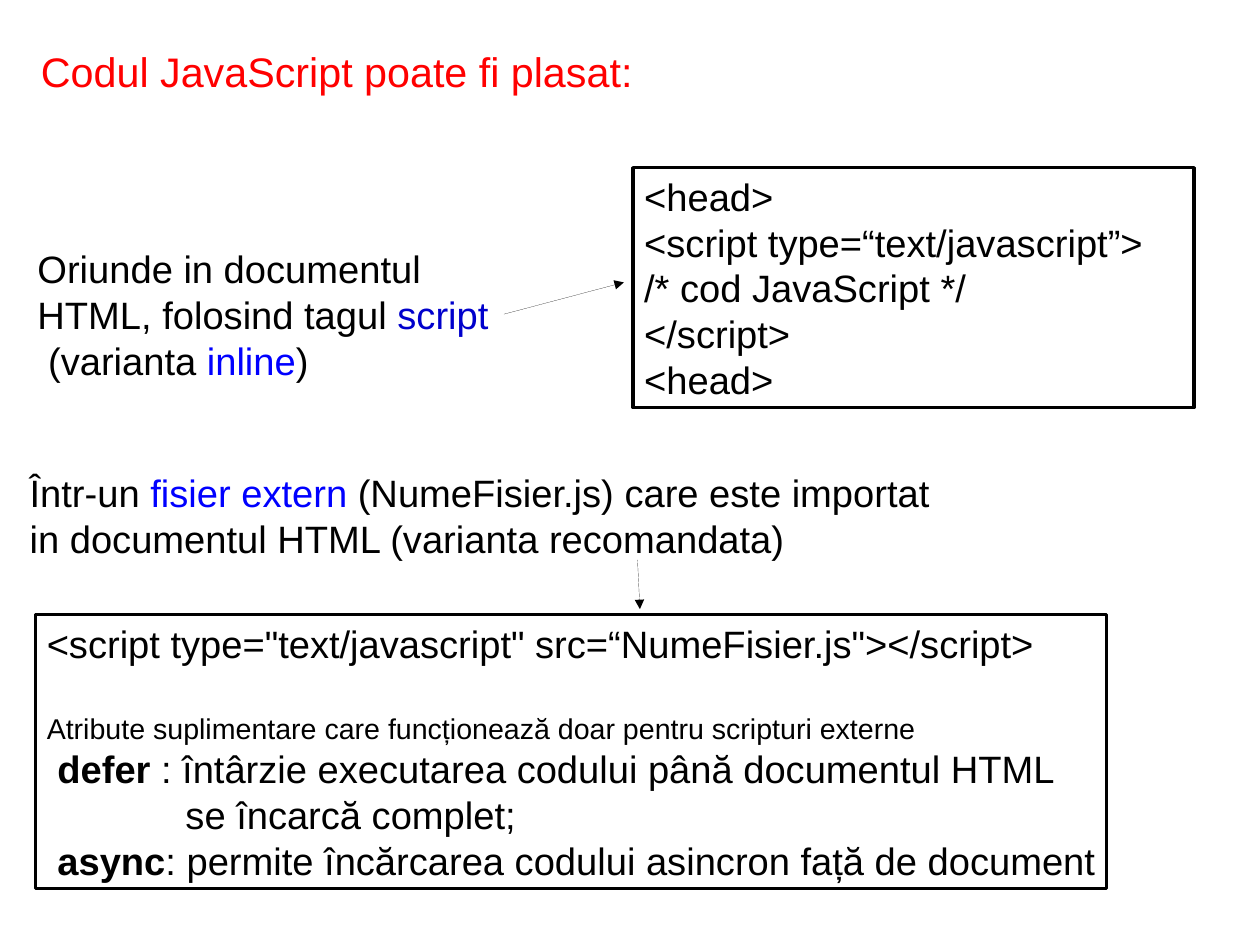
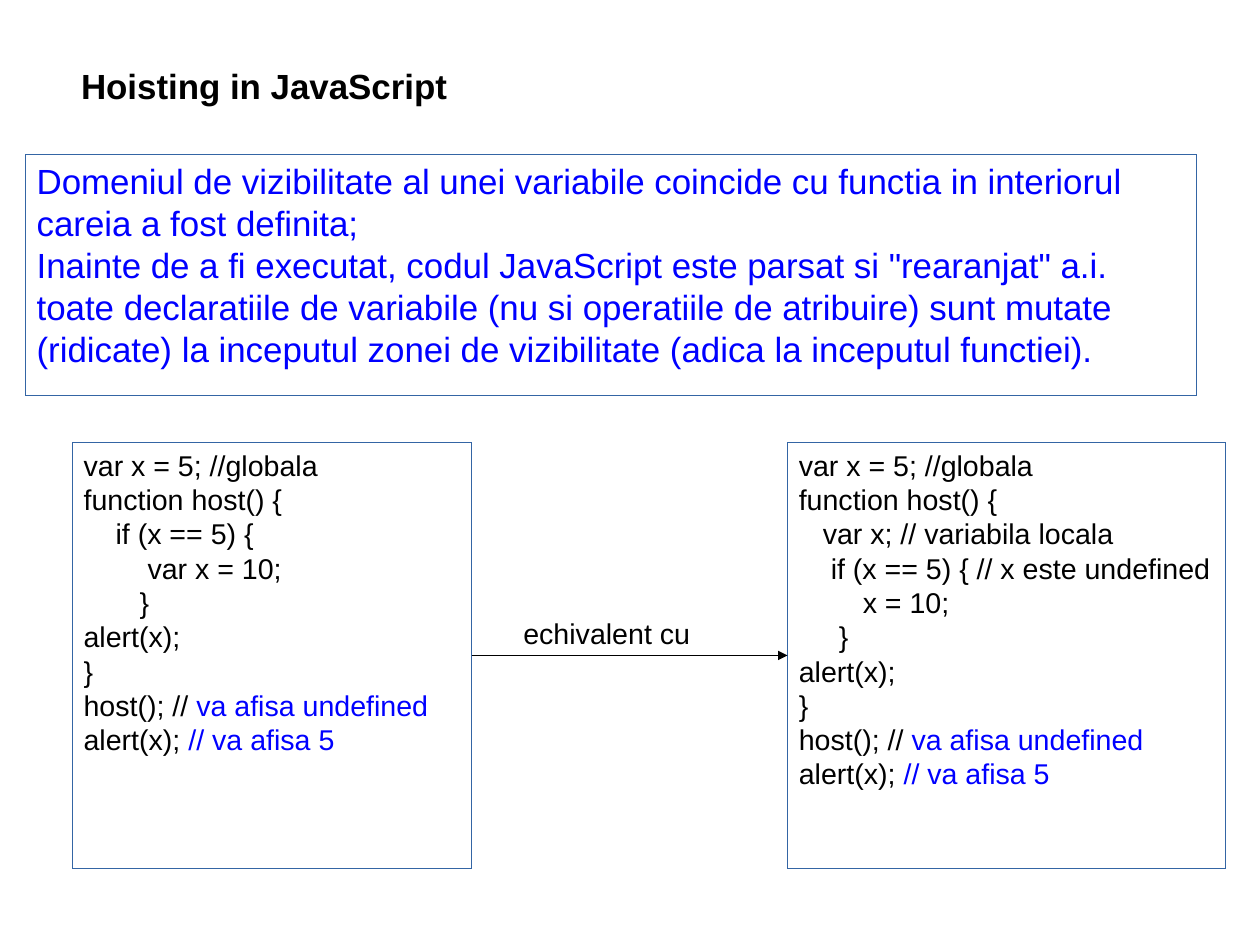
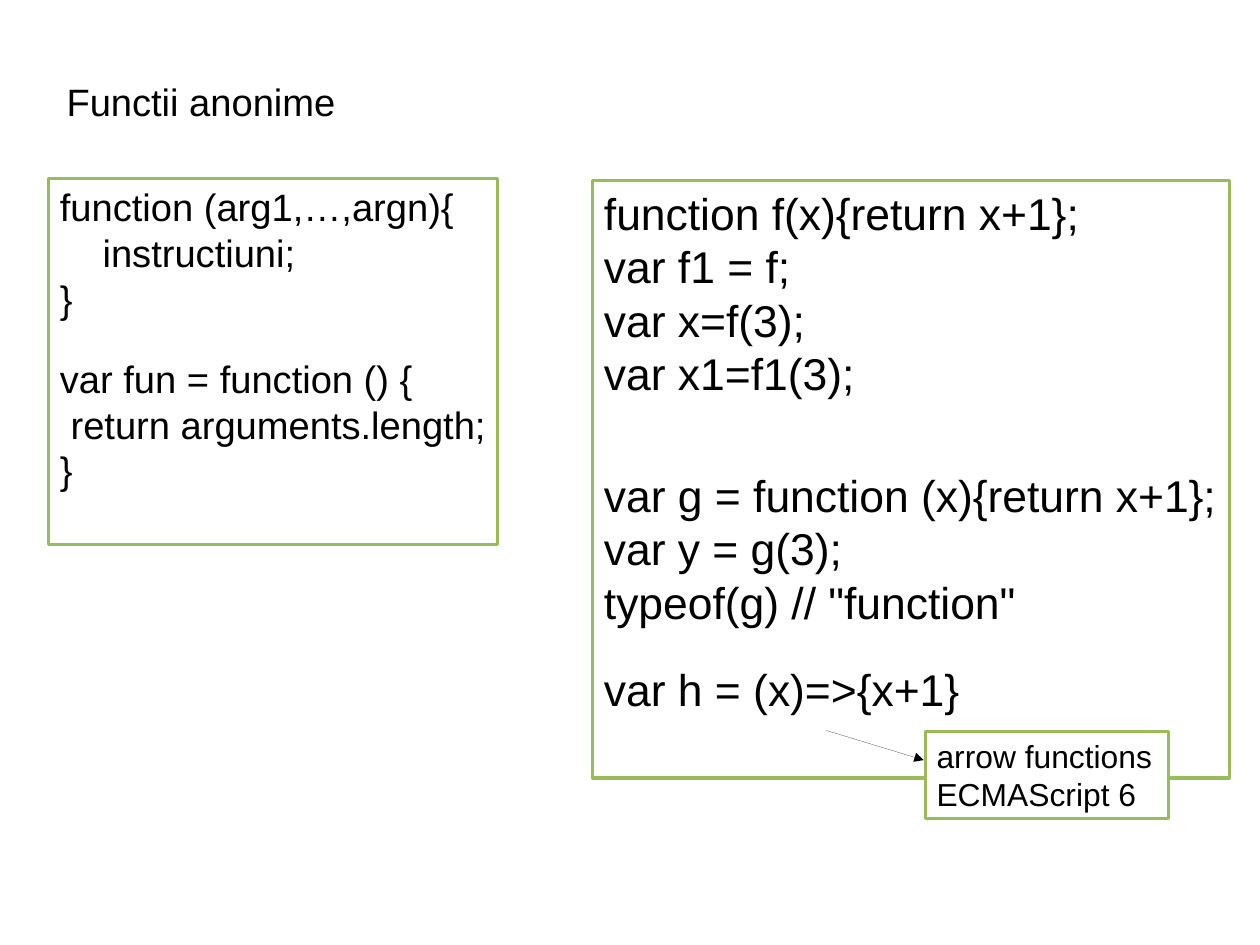
from dataclasses import dataclass

from lxml import etree
from pptx import Presentation
from pptx.dml.color import RGBColor
from pptx.enum.shapes import MSO_CONNECTOR, MSO_SHAPE
from pptx.enum.text import MSO_ANCHOR, PP_ALIGN
from pptx.oxml.ns import qn
from pptx.util import Pt

RECTANGLE = MSO_SHAPE.RECTANGLE
STRAIGHT = MSO_CONNECTOR.STRAIGHT
LEFT = PP_ALIGN.LEFT
TOP = MSO_ANCHOR.TOP

FONT = "Arial"
BLACK, WHITE, RED = "000000", "FFFFFF", "FF0000"
BLUE, DARK_BLUE = "0000FF", "0000CC"
STEEL, GREEN = "3465A4", "9BBB59"
LINE_HEIGHT = 1.2
SPACE_WIDTH = 0.28
RIGHT_SIDE, LEFT_SIDE = 3, 1


@dataclass
class Span:
    """A stretch of text that differs from its line."""
    text: str
    color: str = ""
    bold: bool = False


class Line:
    """A line of spans, with an indent in spaces and a gap above in points."""

    def __init__(self, *spans, indent=0, before=0, size=None):
        """Keep the spans and the spacing of the line."""
        self.spans = [Span(s) if isinstance(s, str) else s for s in spans]
        self.indent, self.before, self.size = indent, before, size


def rgb(value):
    """Return the colour of a hex string."""
    return RGBColor.from_string(value)


def stroke(shape, color, weight):
    """Set a line colour and width, zero being a hairline, and return its XML."""
    shape.line.color.rgb = rgb(color)
    outline = shape.line._get_or_add_ln()
    outline.set("w", str(int(Pt(weight))))
    return outline


def write(shape, lines, size, color=BLACK, bold=False, wrap=True):
    """Fill a shape with left-aligned lines from the top."""
    frame = shape.text_frame
    frame.word_wrap = wrap
    frame.vertical_anchor = TOP
    frame.margin_left = frame.margin_right = Pt(7.2)
    frame.margin_top = frame.margin_bottom = Pt(3.6)
    for index, line in enumerate(lines):
        if isinstance(line, str):
            line = Line(line)
        paragraph = frame.paragraphs[0] if index == 0 else frame.add_paragraph()
        points = line.size or size
        paragraph.alignment = LEFT
        paragraph.line_spacing = Pt(LINE_HEIGHT * points)
        paragraph.space_before = Pt(line.before)
        if line.indent:
            margin = Pt(line.indent * SPACE_WIDTH * points)
            paragraph._p.get_or_add_pPr().set("marL", str(int(margin)))
        font = paragraph.font
        font.name, font.size, font.bold = FONT, Pt(points), bold
        font.color.rgb = rgb(color)
        for span in line.spans:
            run = paragraph.add_run()
            run.text = span.text
            if span.color:
                run.font.color.rgb = rgb(span.color)
            if span.bold:
                run.font.bold = True


def text(slide, box, lines, size, **style):
    """Place plain text in a box."""
    write(slide.shapes.add_textbox(*map(Pt, box)), lines, size, **style)


def panel(slide, box, lines, size, border, weight=2, fill=WHITE, **style):
    """Place text in a bordered rectangle and return it."""
    shape = slide.shapes.add_shape(RECTANGLE, *map(Pt, box))
    shape.shadow.inherit = False
    if fill:
        shape.fill.solid()
        shape.fill.fore_color.rgb = rgb(fill)
    else:
        shape.fill.background()
    stroke(shape, border, weight)
    write(shape, lines, size, **style)
    return shape


def arrow(slide, start, end):
    """Draw a hairline arrow between two points and return it."""
    connector = slide.shapes.add_connector(STRAIGHT, *map(Pt, start + end))
    etree.SubElement(stroke(connector, BLACK, 0), qn("a:tailEnd"), type="triangle")
    etree.SubElement(connector._element.spPr, qn("a:effectLst"))
    return connector


def inline_variant(slide, left, top):
    """Place the inline variant and its code, from the corner of the region."""
    text(slide, (left, top + 45.5, 373, 87), [
        "Oriunde in documentul",
        Line("HTML, folosind tagul ", Span("script", DARK_BLUE)),
        Line("(varianta ", Span("inline", BLUE), ")", indent=1),
    ], 24)
    panel(slide, (left + 382.2, top, 353.5, 151.2), [
        "<head>",
        "<script type=“text/javascript”>",
        "/* cod JavaScript */",
        "</script>",
        "<head>",
    ], 24, BLACK)
    arrow(slide, (left + 301, top + 92.3), (left + 376.5, top + 72.3))


def external_variant(slide, left, top):
    """Place the external variant and its code, from the corner of the region."""
    text(slide, (left, top, 747, 60.5), [
        Line("Într-un ", Span("fisier extern ", BLUE), "(NumeFisier.js) care este importat"),
        "in documentul HTML (varianta recomandata)",
    ], 24)
    panel(slide, (left + 10.8, top + 94.6, 674.6, 172.8), [
        '<script type="text/javascript" src=“NumeFisier.js"></script>',
        Line("Atribute suplimentare care funcționează doar pentru scripturi externe",
             before=28.8, size=18),
        Line(Span("defer", bold=True),
             " : întârzie executarea codului până documentul HTML", indent=1),
        Line("se încarcă complet;", indent=13),
        Line(Span("async", bold=True),
             ": permite încărcarea codului asincron față de document", indent=1),
    ], 24, BLACK, wrap=False)
    arrow(slide, (left + 390, top + 60.3), (left + 391.5, top + 91.3))


def hoisting_example(slide, left, top, height):
    """Place the written code beside its equivalent, from the corner of the region."""
    opening = ["var x = 5; //globala", "function host() {"]
    closing = [
        "alert(x);",
        "}",
        Line("host(); // ", Span("va afisa undefined", BLUE)),
        Line("alert(x); ", Span("// va afisa 5", BLUE)),
    ]
    written_body = [
        Line("if (x == 5) {", indent=4),
        Line("var x = 10;", indent=8),
        Line("}", indent=7),
    ]
    hoisted_body = [
        Line("var x; // variabila locala", indent=3),
        Line("if (x == 5) { // x este undefined", indent=4),
        Line("x = 10;", indent=8),
        Line("}", indent=5),
    ]
    written, hoisted = [
        panel(slide, (left + offset, top, width, height), opening + body + closing,
              18, STEEL, weight=0, fill=None)
        for offset, width, body in ((0, 251.5, written_body), (450.5, 276, hoisted_body))
    ]
    text(slide, (left + 277, top + 106.2, 125, 27), ["echivalent cu"], 18)
    middle = top + height / 2
    link = arrow(slide, (left + 251.5, middle), (left + 450.5, middle))
    link.begin_connect(written, RIGHT_SIDE)
    link.end_connect(hoisted, LEFT_SIDE)


def anonymous_examples(slide, left, top):
    """Place the function examples and the arrow note, from the corner of the region."""
    panel(slide, (left, top, 282.5, 230.5), [
        "function (arg1,…,argn){",
        Line("instructiuni;", indent=4),
        "}",
        Line("var fun = function () {", before=21.6),
        Line("return arguments.length;", indent=1),
        "}",
    ], 24, GREEN)
    panel(slide, (left + 342.7, top + 1.4, 401, 376.5), [
        "function f(x){return x+1};",
        "var f1 = f;",
        "var x=f(3);",
        "var x1=f1(3);",
        Line("var g = function (x){return x+1};", before=43.2),
        "var y = g(3);",
        'typeof(g) // "function"',
        Line("var h = (x)=>{x+1}", before=21.6),
    ], 28, GREEN)
    panel(slide, (left + 552.2, top + 348.3, 153, 55.2),
          ["arrow functions", "ECMAScript 6"], 20, GREEN)
    arrow(slide, (left + 489.7, top + 347.8), (left + 551.2, top + 366.5))


def placement_slide(slide):
    """Show where JavaScript code can be placed."""
    text(slide, (18.7, 25.6, 388, 36), ["Codul JavaScript poate fi plasat:"], 26, color=RED)
    inline_variant(slide, 16.5, 105.6)
    external_variant(slide, 11.6, 292.4)


def hoisting_slide(slide):
    """Explain hoisting with two equivalent programs."""
    text(slide, (44, 37.2, 260, 65), ["Hoisting in JavaScript"], 22, bold=True)
    panel(slide, (16, 97.2, 737.5, 152), [
        "Domeniul de vizibilitate al unei variabile coincide cu functia in interiorul "
        "careia a fost definita;",
        'Inainte de a fi executat, codul JavaScript este parsat si "rearanjat" a.i. toate '
        "declaratiile de variabile (nu si operatiile de atribuire) sunt mutate (ridicate) "
        "la inceputul zonei de vizibilitate (adica la inceputul functiei).",
    ], 22, STEEL, weight=0, fill=None, color=BLUE)
    hoisting_example(slide, 45.6, 278.5, 268.8)


def anonymous_slide(slide):
    """Show anonymous and arrow functions."""
    text(slide, (34.8, 46, 190, 36), ["Functii anonime"], 24)
    anonymous_examples(slide, 30.7, 112.3)


def main():
    """Build and save the presentation."""
    deck = Presentation()
    deck.slide_width, deck.slide_height = Pt(793.7), Pt(595.28)
    blank = deck.slide_layouts[6]
    for build in (placement_slide, hoisting_slide, anonymous_slide):
        build(deck.slides.add_slide(blank))
    deck.save("out.pptx")


if __name__ == "__main__":
    main()
